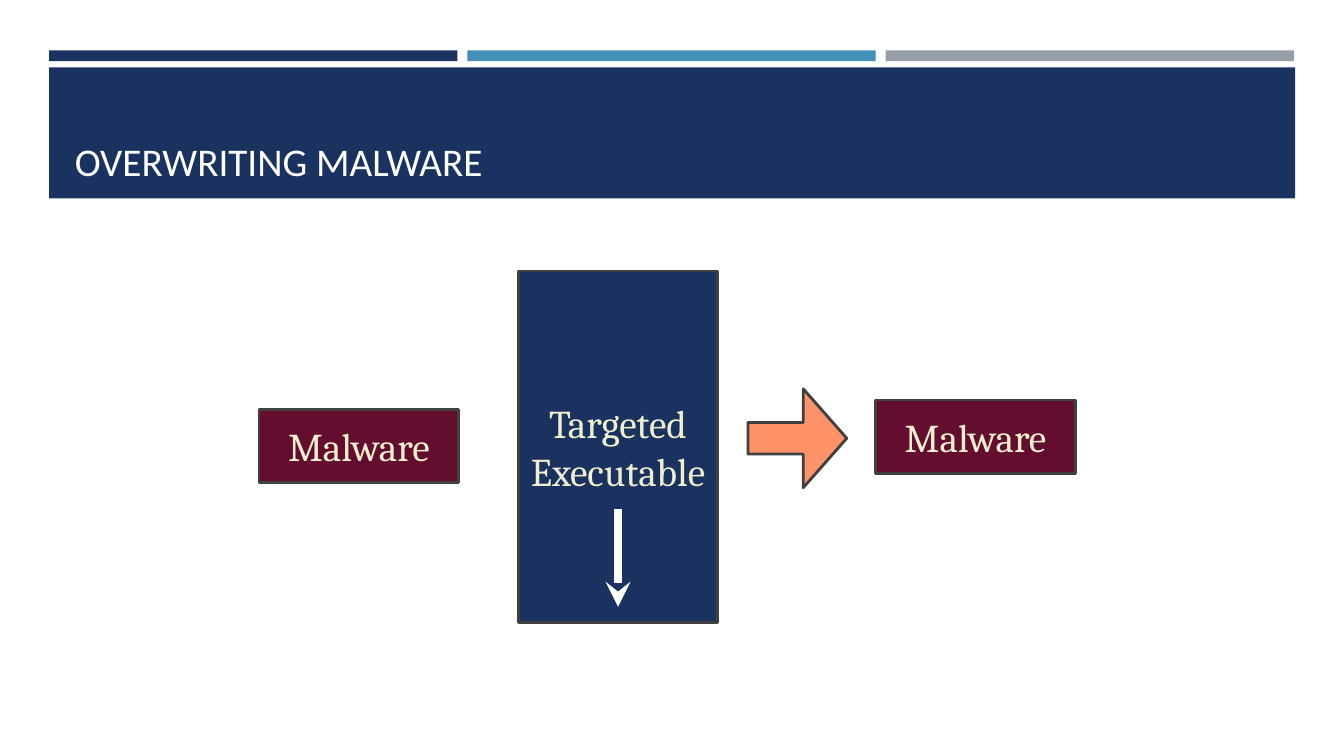
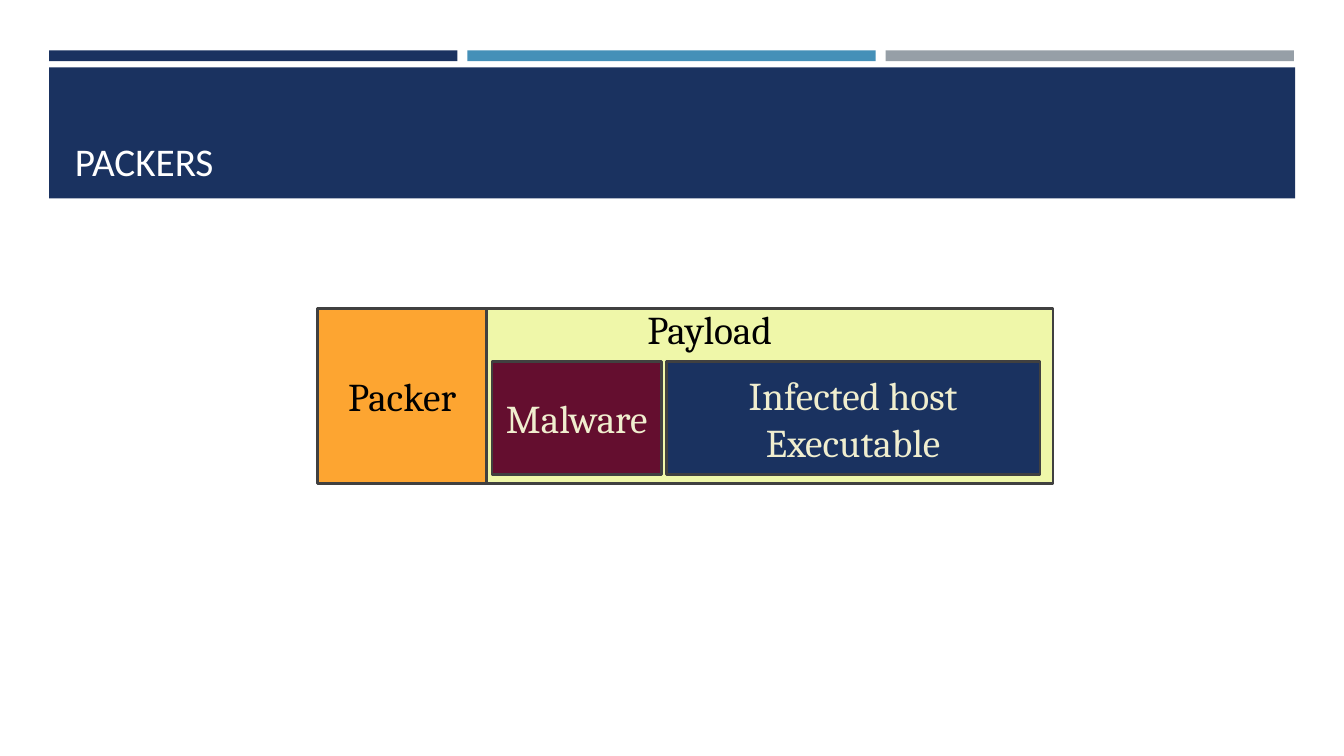
from lxml import etree
from pptx import Presentation
from pptx.dml.color import RGBColor
from pptx.enum.shapes import MSO_CONNECTOR, MSO_SHAPE
from pptx.enum.text import MSO_ANCHOR, MSO_AUTO_SIZE, PP_ALIGN
from pptx.oxml.ns import qn
from pptx.util import Cm, Pt

NAVY = RGBColor(0x1A, 0x32, 0x60)
BLUE = RGBColor(0x45, 0x90, 0xB8)
GREY = RGBColor(0x96, 0x9F, 0xA7)
WINE = RGBColor(0x64, 0x0E, 0x2F)
CORAL = RGBColor(0xFE, 0x93, 0x6A)
ORANGE = RGBColor(0xFD, 0xA5, 0x31)
LIME = RGBColor(0xEF, 0xF7, 0xA9)
CREAM = RGBColor(0xF0, 0xEE, 0xCF)
OUTLINE = RGBColor(0x40, 0x40, 0x40)
WHITE = RGBColor(0xFF, 0xFF, 0xFF)
BLACK = RGBColor(0x00, 0x00, 0x00)

TITLE_FONT = {"name": "Calibri", "size": Pt(28)}
LABEL_FONT = {"name": "Cambria", "size": Pt(28.1)}
TITLE_FRAME = {"vertical_anchor": MSO_ANCHOR.BOTTOM,
               "auto_size": MSO_AUTO_SIZE.NONE, "word_wrap": True}
LABEL_FRAME = {"vertical_anchor": MSO_ANCHOR.MIDDLE, "margin_left": 0,
               "margin_right": 0, "margin_top": 0, "margin_bottom": 0}


def apply(target, values):
    for name, value in values.items():
        setattr(target, name, value)


def write_label(frame, lines, color, wrap=True):
    apply(frame, LABEL_FRAME)
    frame.word_wrap = wrap
    for number, line in enumerate(lines):
        paragraph = frame.add_paragraph() if number else frame.paragraphs[0]
        paragraph.text = line
        paragraph.alignment = PP_ALIGN.CENTER
        apply(paragraph.font, LABEL_FONT)
        paragraph.font.color.rgb = color


def add_block(slide, box, fill, lines=(), color=CREAM, kind=MSO_SHAPE.RECTANGLE,
              outlined=True):
    """Draw a filled shape in box, given as left, top, width, height in cm."""
    block = slide.shapes.add_shape(kind, *map(Cm, box))
    block.shadow.inherit = False
    block.fill.solid()
    block.fill.fore_color.rgb = fill
    if outlined:
        block.line.color.rgb = OUTLINE
        block.line.width = Pt(2)
    else:
        block.line.fill.background()
    if lines:
        write_label(block.text_frame, lines, color)
    return block


def add_down_arrow(slide, x, top, length):
    arrow = slide.shapes.add_connector(
        MSO_CONNECTOR.STRAIGHT, Cm(x), Cm(top), Cm(x), Cm(top + length))
    arrow.line.color.rgb = WHITE
    arrow.line.width = Pt(6)
    etree.SubElement(arrow.line._get_or_add_ln(), qn("a:tailEnd"), type="stealth")
    etree.SubElement(arrow.element.spPr, qn("a:effectLst"))


def decorate_layout(layout, slide):
    """Draw the bands on slide, then move them behind the layout's title."""
    left, strip_width, strip_pitch = 1.24, 10.29, 10.54
    bands = [((left + number * strip_pitch, 1.27, strip_width, 0.27), color)
             for number, color in enumerate((NAVY, BLUE, GREY))]
    bands.append(((left, 1.7, 31.4, 3.3), NAVY))
    title = layout.placeholders[0]
    for box, color in bands:
        band = add_block(slide, box, color, outlined=False)
        title.element.addprevious(band.element)
    apply(title, {"left": Cm(1.63), "top": Cm(1.96),
                  "width": Cm(30.63), "height": Cm(2.82)})


def write_title(slide, text):
    frame = slide.shapes.title.text_frame
    frame.text = text
    apply(frame, TITLE_FRAME)
    heading = frame.paragraphs[0]
    heading.alignment = PP_ALIGN.LEFT
    apply(heading.font, TITLE_FONT)
    heading.font.color.rgb = WHITE


def draw_overwriting(slide, left, top, width, height):
    """Malware, the executable it overwrites, and the malware that remains."""
    block_width, malware_height = 5.03, 1.85
    target_left = left + 6.53
    add_block(slide, (target_left, top, block_width, height), NAVY,
              ("Targeted", "Executable"))
    add_down_arrow(slide, target_left + block_width / 2, top + 6, 2.46)
    for malware_left, drop in ((left, 3.48), (left + width - block_width, 3.25)):
        add_block(slide, (malware_left, top + drop, block_width, malware_height),
                  WINE, ("Malware",))
    result = add_block(slide, (left + 12.32, top + 2.97, 2.49, 2.49), CORAL,
                       kind=MSO_SHAPE.RIGHT_ARROW)
    result.adjustments[0] = 0.32
    result.adjustments[1] = 0.44


def draw_packed_file(slide, left, top, width, height):
    """A packer followed by its payload, which holds malware and host."""
    packer_width, inner_top, inner_height = 4.27, top + 1.35, 2.84
    payload_left = left + packer_width
    malware_left = payload_left + 0.13
    host_left = malware_left + packer_width + 0.12
    add_block(slide, (payload_left, top, width - packer_width, height), LIME)
    add_block(slide, (malware_left, inner_top, packer_width, inner_height), WINE,
              ("Malware",))
    add_block(slide, (host_left, inner_top, 9.42, inner_height), NAVY,
              ("Infected host", "Executable"))
    add_block(slide, (left, top, packer_width, height), ORANGE, ("Packer",), BLACK)
    payload = slide.shapes.add_textbox(
        Cm(left + 8.08), Cm(top - 0.07), Cm(3.61), Cm(1.19))
    write_label(payload.text_frame, ("Payload",), BLACK, wrap=False)


def main():
    deck = Presentation()
    deck.slide_width, deck.slide_height = Cm(33.87), Cm(19.05)
    layout = deck.slide_layouts[5]
    overwriting = deck.slides.add_slide(layout)
    packers = deck.slides.add_slide(layout)
    decorate_layout(layout, overwriting)

    write_title(overwriting, "OVERWRITING MALWARE")
    draw_overwriting(overwriting, 6.53, 6.83, 20.57, 8.86)
    write_title(packers, "PACKERS")
    draw_packed_file(packers, 8, 7.77, 18.54, 4.42)
    deck.save("out.pptx")


if __name__ == "__main__":
    main()
